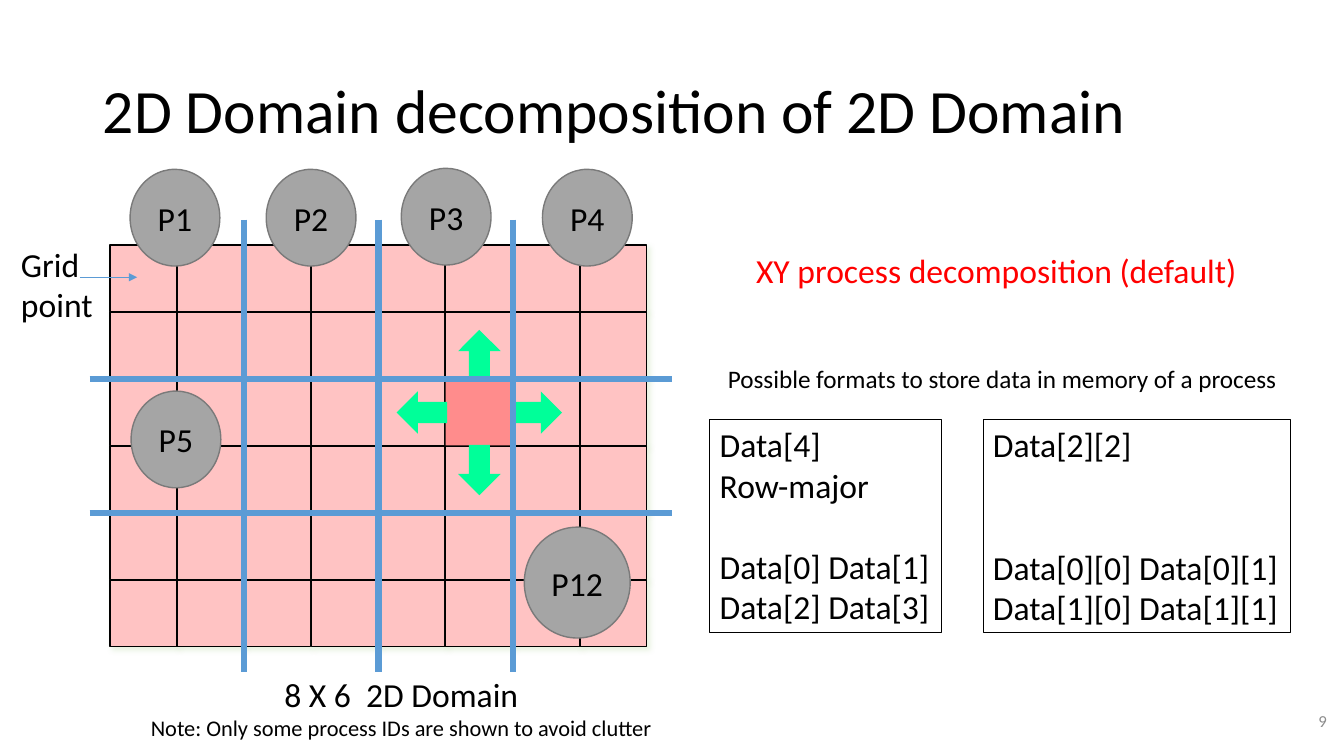
from dataclasses import dataclass

import lxml.etree
import pptx
import pptx.dml.color
import pptx.enum.shapes
import pptx.enum.text
import pptx.oxml.ns
import pptx.util

Inches = pptx.util.Inches
Pt = pptx.util.Pt
Shapes = pptx.enum.shapes.MSO_SHAPE
Align = pptx.enum.text.PP_ALIGN
Anchor = pptx.enum.text.MSO_ANCHOR
qn = pptx.oxml.ns.qn


@dataclass(frozen=True)
class Theme:
    font: str = "Calibri"
    ink: str = "000000"
    accent: str = "FF0000"
    muted: str = "8C8C8C"
    cell: str = "FFC3C3"
    active_cell: str = "FF8C8C"
    cell_shadow: str = "C5E0B4"
    arrow: str = "00FF99"
    divider: str = "5B9BD5"
    process: str = "A5A5A5"
    process_edge: str = "7A7A7A"
    title: int = 44
    body: int = 24
    caption: int = 18
    note: int = 16
    number: int = 12


THEME = Theme()


def rgb(value):
    return pptx.dml.color.RGBColor.from_string(value)


def format_text(paragraph, size=THEME.body, color=THEME.ink, align=Align.LEFT):
    paragraph.alignment = align
    for run in paragraph.runs:
        run.font.name = THEME.font
        run.font.size = Pt(size)
        run.font.color.rgb = rgb(color)


def add_text(slide, box, text, size=THEME.body, color=THEME.ink,
             align=Align.LEFT, wrap=False):
    shape = slide.shapes.add_textbox(*map(Inches, box))
    shape.text_frame.text = text
    shape.text_frame.word_wrap = wrap
    for paragraph in shape.text_frame.paragraphs:
        format_text(paragraph, size, color, align)
    return shape


def add_figure(slide, kind, box, fill, line=None):
    shape = slide.shapes.add_shape(kind, *map(Inches, box))
    shape.shadow.inherit = False
    shape.fill.solid()
    shape.fill.fore_color.rgb = rgb(fill)
    if line:
        shape.line.color.rgb = rgb(line)
        shape.line.width = Pt(1)
    else:
        shape.line.fill.background()
    return shape


def add_line(slide, start, end, width):
    line = slide.shapes.add_connector(
        pptx.enum.shapes.MSO_CONNECTOR.STRAIGHT, *map(Inches, (*start, *end)))
    line.line.color.rgb = rgb(THEME.divider)
    line.line.width = Pt(width)
    lxml.etree.SubElement(line._element.spPr, qn("a:effectLst"))
    return line


def add_cell_shadow(cell):
    effects = cell._element.spPr.find(qn("a:effectLst"))
    shadow = lxml.etree.SubElement(
        effects, qn("a:outerShdw"), blurRad=str(Pt(4)), dist=str(Pt(3)),
        dir=str(45 * 60000), algn="tl", rotWithShape="0")
    color = lxml.etree.SubElement(shadow, qn("a:srgbClr"), val=THEME.cell_shadow)
    lxml.etree.SubElement(color, qn("a:alpha"), val="40000")


def build_title(slide, box, text):
    title = slide.shapes.title
    title.left, title.top, title.width, title.height = map(Inches, box)
    title.text_frame.text = text
    title.text_frame.vertical_anchor = Anchor.MIDDLE
    title.text_frame.paragraphs[0].line_spacing = 0.9
    format_text(title.text_frame.paragraphs[0], THEME.title)


def build_domain(slide, box):
    left, top, width, height = box
    columns, rows = 8, 6
    pitch_x, pitch_y = width / columns, height / rows

    # Grid points
    for row in range(rows):
        for column in range(columns):
            cell = add_figure(
                slide, Shapes.RECTANGLE,
                (left + column * pitch_x, top + row * pitch_y, 0.66, 0.66),
                THEME.cell, THEME.ink)
            add_cell_shadow(cell)

    # Active point with an arrow to each neighbour
    active_left, active_top = left + 5 * pitch_x, top + 2 * pitch_y
    add_figure(slide, Shapes.RECTANGLE, (active_left, active_top, 0.66, 0.66),
               THEME.active_cell)
    center_x, center_y = active_left + pitch_x / 2, active_top + pitch_y / 2
    reach, length, thickness = 0.57, 0.5, 0.42
    for rotation, step_x, step_y in ((0, 1, 0), (180, -1, 0), (90, 0, 1), (270, 0, -1)):
        arrow = add_figure(
            slide, Shapes.RIGHT_ARROW,
            (center_x + step_x * reach - length / 2,
             center_y + step_y * reach - thickness / 2, length, thickness),
            THEME.arrow)
        arrow.rotation = rotation

    # Process boundaries every two points
    overhang = 0.25
    for row in range(2, rows, 2):
        y = top + row * pitch_y
        add_line(slide, (left - 0.2, y), (left + width + overhang, y), 4.5)
    for column in range(2, columns, 2):
        x = left + column * pitch_x
        add_line(slide, (x, top - overhang), (x, top + height + overhang), 4.5)

    # Process labels, placed from the grid corner
    processes = (
        ("P1", 0.2, -0.75, 0.89, 0.96),
        ("P2", 1.55, -0.75, 0.89, 0.96),
        ("P3", 2.89, -0.76, 0.89, 0.96),
        ("P4", 4.29, -0.75, 0.89, 0.96),
        ("P5", 0.21, 1.45, 0.89, 0.96),
        ("P12", 4.11, 2.8, 1.05, 1.1),
    )
    for name, offset_x, offset_y, *size in processes:
        process = add_figure(slide, Shapes.OVAL,
                             (left + offset_x, top + offset_y, *size),
                             THEME.process, THEME.process_edge)
        frame = process.text_frame
        frame.text = name
        frame.margin_left = frame.margin_right = 0
        frame.vertical_anchor = Anchor.MIDDLE
        format_text(frame.paragraphs[0], align=Align.CENTER)

    # Grid point pointer and caption
    add_text(slide, (left - 0.98, top - 0.06, 1.21, 0.91), "Grid point", wrap=True)
    pointer = add_line(slide, (left - 0.3, top + 0.32), (left + 0.27, top + 0.32), 0.5)
    lxml.etree.SubElement(pointer.line._get_or_add_ln(), qn("a:tailEnd"), type="triangle")
    caption = add_text(
        slide, (left + 0.27, top + height + 0.22, 5.24, 0.77),
        "8 X 6  2D Domain\nNote: Only some process IDs are shown to avoid clutter",
        align=Align.CENTER)
    format_text(caption.text_frame.paragraphs[1], THEME.note, align=Align.CENTER)


def build_formats(slide, box):
    left, top, width, height = box
    add_text(slide, (left + 0.36, top, 5.01, 0.5),
             "XY process decomposition (default)", color=THEME.accent)
    add_text(slide, (left + 0.08, top + 1.13, 5.7, 0.4),
             "Possible formats to store data in memory of a process", THEME.caption)

    # Storage layouts, with the index lists pushed to the bottom
    line_height = 29.3
    storages = (
        (left, 2.3, "Data[4]\nRow-major\nData[0] Data[1]\vData[2] Data[3]", 1),
        (left + width - 3.05, 3.05,
         "Data[2][2]\nData[0][0] Data[0][1]\vData[1][0] Data[1][1]", 2),
    )
    for storage_left, storage_width, text, gap_lines in storages:
        storage = add_text(
            slide, (storage_left, top + height - 2.12, storage_width, 2.12), text)
        storage.line.color.rgb = rgb(THEME.ink)
        storage.line.width = Pt(0.75)
        storage.text_frame.paragraphs[-1].space_before = Pt(gap_lines * line_height)


def build_slide_number(slide, box, number):
    shape = add_text(slide, box, number, THEME.number, THEME.muted, Align.RIGHT, True)
    shape.text_frame.vertical_anchor = Anchor.MIDDLE


def main():
    presentation = pptx.Presentation()
    presentation.slide_width = Inches(13.33)
    presentation.slide_height = Inches(7.5)
    slide = presentation.slides.add_slide(presentation.slide_layouts[5])
    build_title(slide, (0.92, 0.4, 11.5, 1.45), "2D Domain decomposition of 2D Domain")
    build_domain(slide, (1.09, 2.43, 5.33, 3.99))
    build_formats(slide, (7.04, 2.43, 5.76, 3.85))
    build_slide_number(slide, (10.26, 6.95, 3, 0.4), "9")
    presentation.save("out.pptx")


if __name__ == "__main__":
    main()
